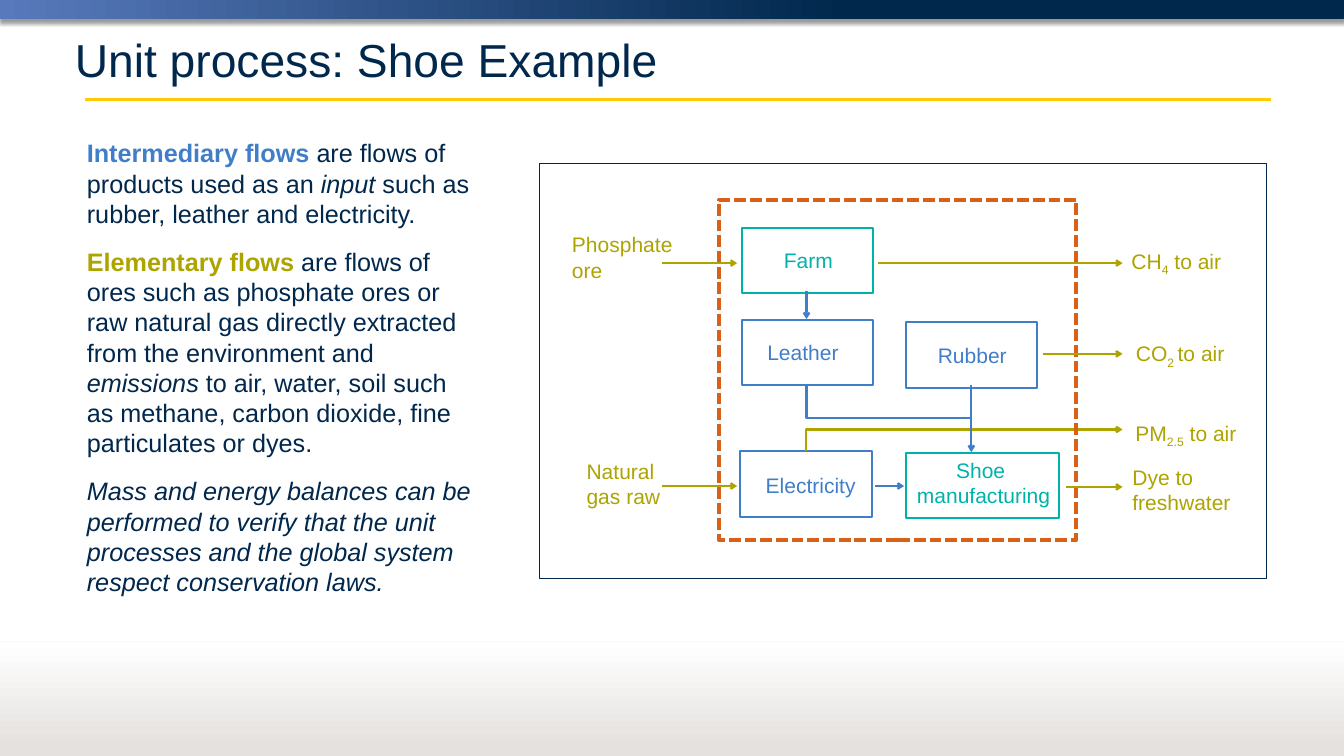
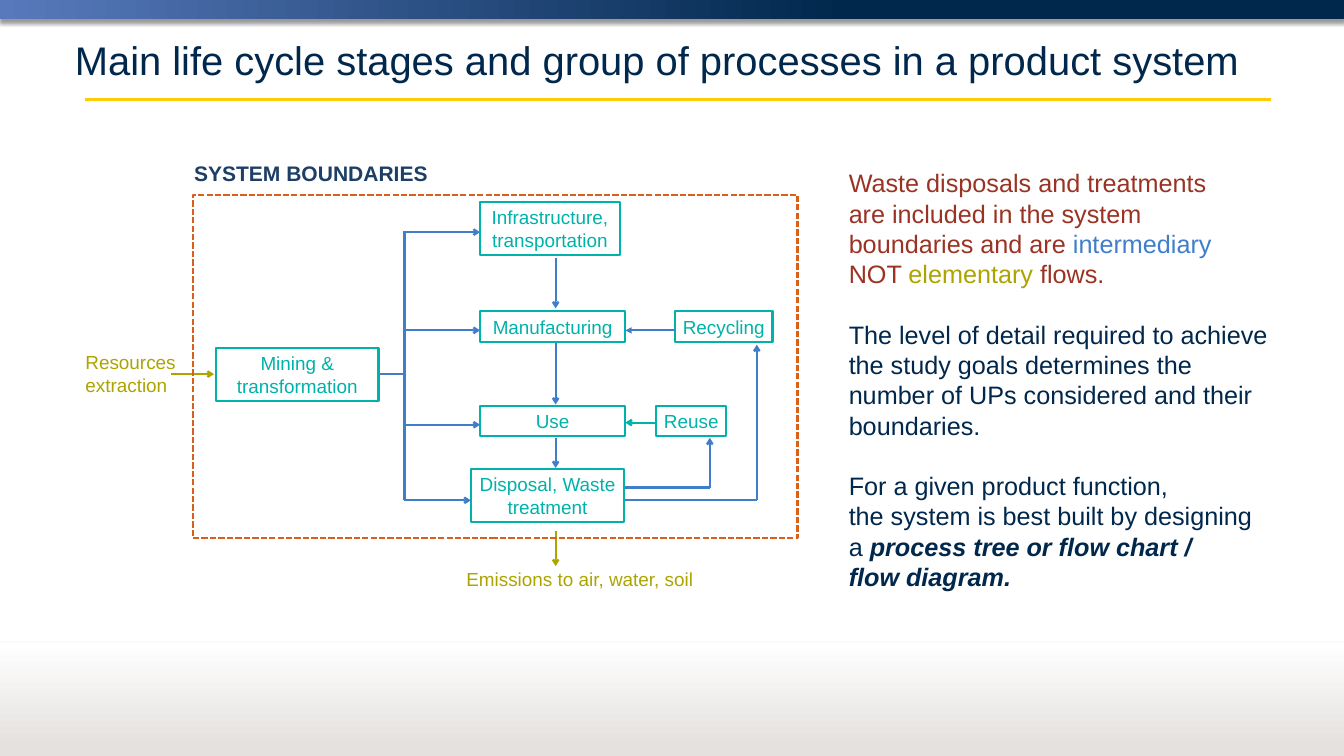
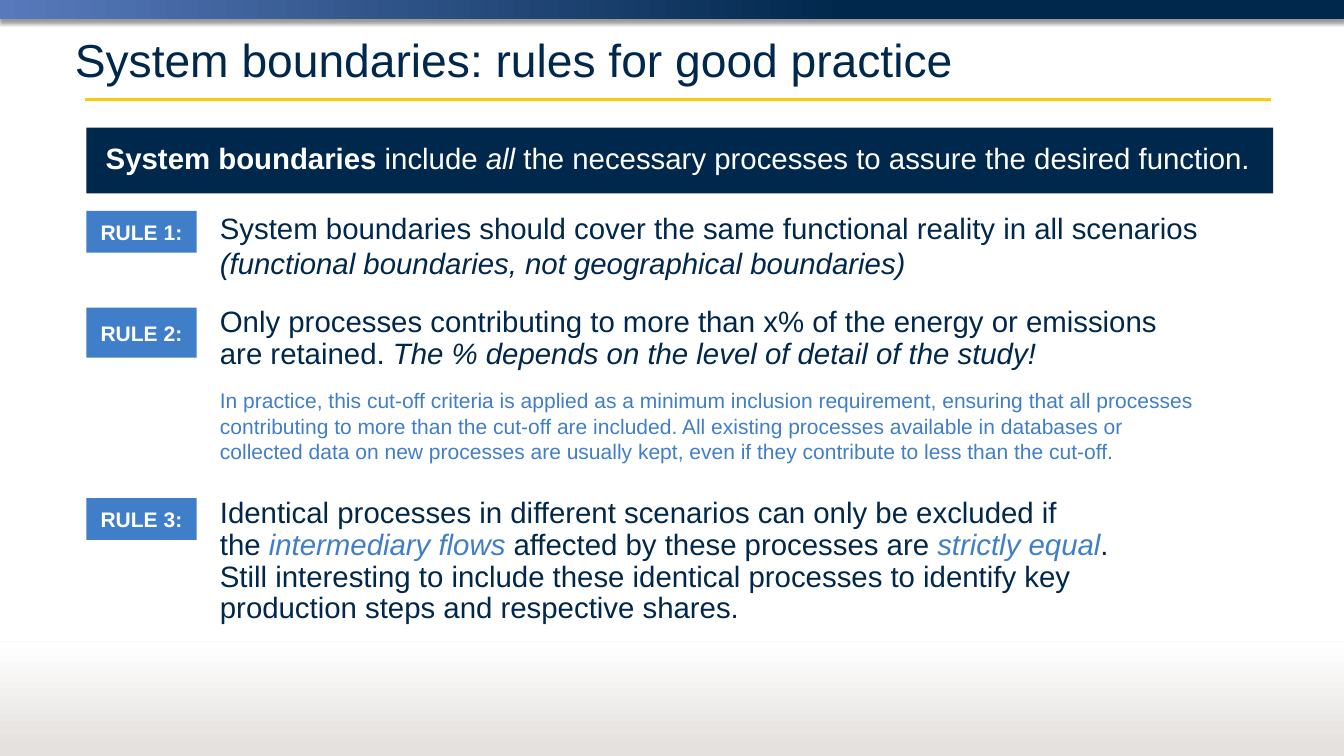
from dataclasses import dataclass

import lxml.etree
import pptx
import pptx.dml.color
import pptx.enum.dml
import pptx.enum.shapes
import pptx.enum.text
import pptx.oxml.ns
import pptx.util

Cm, Pt = pptx.util.Cm, pptx.util.Pt
qn = pptx.oxml.ns.qn
RECTANGLE = pptx.enum.shapes.MSO_SHAPE.RECTANGLE
CONNECTOR = pptx.enum.shapes.MSO_CONNECTOR
MIDDLE = pptx.enum.text.MSO_ANCHOR.MIDDLE
LEFT, CENTER = pptx.enum.text.PP_ALIGN.LEFT, pptx.enum.text.PP_ALIGN.CENTER


class Theme:
    font = "Arial"
    colours = {
        "navy": "00274C", "blue": "407EC9", "olive": "ADA400", "teal": "00B2A9",
        "orange": "D86018", "red": "9A3324", "heading": "1D3F67", "white": "FFFFFF",
        "yellow": "FFCB05", "sky": "587ABC", "stone": "E4E1DF", "black": "000000",
    }
    title, long_title, rule, body, label, stage = 44, 38, 28, 24, 20, 18
    flow_line = 2


@dataclass
class Para:
    spans: list
    size: int = Theme.body
    after: float = 0
    spacing: float = None
    align: int = LEFT


WIDTH, HEIGHT = 45.16, 25.4
TITLE_AT = (2.26, 0.79, 40.64, 2.41)

FLOW_TITLE = "Unit process: Shoe Example"
FLOW_TEXT_AT = (2.67, 4.5, 13.59, 15.6)
FLOW_TEXT = [
    Para([("Intermediary flows ", "blue b"), ("are flows of products used as an ", "navy"),
          ("input", "navy i"), (" such as rubber, leather and electricity.", "navy")], after=17),
    Para([("Elementary flows ", "olive b"),
          ("are flows of ores such as phosphate ores or raw natural gas directly extracted "
           "from the environment and ", "navy"),
          ("emissions", "navy i"),
          (" to air, water, soil such as methane, carbon dioxide, fine particulates or dyes.",
           "navy")], after=17),
    Para([("Mass and energy balances can be performed to verify that the unit processes and "
           "the global system respect conservation laws.", "navy i")]),
]
UNIT_BOXES = [
    ((24.92, 10.74, 4.42, 2.21), "blue"),
    ((30.43, 10.82, 4.42, 2.21), "blue"),
    ((30.43, 15.21, 5.16, 2.21), "teal"),
    ((24.92, 7.65, 4.42, 2.21), "teal"),
    ((24.87, 15.16, 4.42, 2.21), "blue"),
]
UNIT_LABELS = [
    ("Shoe \nmanufacturing", (30.51, 15.24, 5.08, 1.96), "teal"),
    ("Farm", (25.98, 8.2, 2.36, 1.12), "teal"),
    ("Leather ", (24.87, 11.28, 4.42, 1.14), "blue"),
    ("Rubber", (31.12, 11.38, 3.1, 1.12), "blue"),
    ("Electricity", (25.35, 15.75, 3.78, 1.12), "blue"),
]
ELEMENTARY_LABELS = [
    ([("Dye to \nfreshwater", "olive")], (37.8, 15.47, 4.06, 1.96)),
    ([("Phosphate \nore", "olive")], (18.97, 7.67, 4.52, 1.96)),
    ([("Natural \ngas raw", "olive")], (19.46, 15.27, 3.02, 1.96)),
    ([("CH", "olive"), ("4", "olive sub"), (" to air", "olive")], (37.77, 8.23, 3.86, 1.12)),
    ([("CO", "olive"), ("2 ", "olive sub"), ("to air", "olive")], (37.92, 11.33, 3.86, 1.12)),
    ([("PM", "olive"), ("2.5", "olive sub"), (" to air", "olive")], (37.9, 14, 4.42, 1.12)),
]
UNIT_FLOWS = [
    ((27.1, 9.78, 27.1, 10.72), "blue", "arrow"),
    ((32.64, 12.95, 32.64, 15.16), "blue", None),
    ((29.39, 16.33, 30.38, 16.33), "blue", "arrow"),
    ((22.25, 16.33, 24.77, 16.33), "olive", "arrow"),
    ((22.25, 8.84, 24.77, 8.84), "olive", "arrow"),
    ((29.51, 8.84, 37.72, 8.84), "olive", "arrow"),
    ((35.05, 11.89, 37.72, 11.89), "olive", "arrow"),
    ((35.81, 16.36, 37.72, 16.36), "olive", "arrow"),
]
UNIT_ELBOWS = [
    ((27.1, 12.9, 32.64, 15.19), "blue", "bentConnector3"),
    ((27.08, 15.16, 37.72, 14.43), "olive", "bentConnector2"),
]
UNIT_BOUNDARY = (24.16, 6.71, 12.01, 11.43)
DIAGRAM_FRAME = (18.11, 5.49, 24.43, 13.94)

STAGES_TITLE = "Main life cycle stages and group of processes in a product system"
STAGES = [
    ("Mining & transformation", (7.26, 11.68, 5.46, 1.78), "white"),
    ("Infrastructure,\ntransportation", (16.13, 6.78, 4.7, 1.78), None),
    ("Manufacturing", (16.13, 10.46, 4.88, 1.02), None),
    ("Use", (16.13, 13.64, 4.88, 1.02), None),
    ("Disposal, Waste treatment", (15.82, 15.75, 5.16, 1.78), None),
    ("Recycling", (22.68, 10.46, 3.28, 1.02), None),
    ("Reuse", (22.05, 13.64, 2.36, 1.02), None),
]
TRUNK_X, CHAIN_X = 13.59, 18.67
BRANCHES = [(7.8, 16.13), (11.1, 16.13), (14.27, 16.13), (16.81, 15.82)]
CHAIN = [(8.66, 10.36, "blue"), (11.53, 13.59, "blue"), (14.71, 15.72, "blue"),
         (17.83, 19.02, "olive")]
STAGE_FLOWS = [
    ((TRUNK_X, 7.77, TRUNK_X, 16.81), "blue", None),
    ((5.74, 12.57, 7.19, 12.57), "olive", "arrow"),
    ((21.01, 16.81, 25.43, 16.81), "blue", None),
    ((25.43, 16.81, 25.43, 11.58), "blue", "arrow"),
    ((22.68, 11.1, 21.01, 11.1), "blue", "triangle"),
    ((21.01, 16.38, 23.85, 16.38), "blue", None),
    ((23.85, 16.41, 23.85, 14.71), "blue", "arrow"),
    ((22, 14.2, 21.01, 14.2), "teal", "arrow"),
]
STAGE_LABELS = [
    (["Resources", "extraction"], (2.62, 11.66, 3.58, 1.8), "olive", Theme.stage),
    (["Emissions to air, water, soil"], (15.42, 18.95, 8.2, 1.02), "olive", Theme.stage),
    (["SYSTEM BOUNDARIES"], (6.27, 5.28, 8.43, 1.12), "heading b", Theme.label),
]
STAGE_BOUNDARY = (6.48, 6.55, 20.32, 11.53)
STAGE_TEXT_AT = (28.27, 5.51, 14.73, 14.63)
STAGE_TEXT = [
    Para([("Waste disposals and treatments \nare included in the system boundaries and are ",
           "red"), ("intermediary \n", "blue"), ("NOT ", "red"), ("elementary", "olive"),
          (" flows.", "red")], after=29),
    Para([("The level of detail required to achieve the study goals determines the number of "
           "UPs considered and their boundaries.", "navy")], after=29),
    Para([("For a given product function, \nthe system is best built by designing a ", "navy"),
          ("process tree or flow chart / \nflow diagram.", "navy b i")]),
]

RULES_TITLE = "System boundaries: rules for good practice"
BANNER_AT, BANNER_TEXT_AT = (2.9, 4.29, 39.88, 2.21), (2.64, 4.72, 40.26, 1.35)
BANNER = [
    Para([("System boundaries ", "white b"), ("include ", "white"), ("all ", "white i"),
          ("the necessary processes to assure the desired function.", "white")],
         Theme.rule, spacing=0.9, align=CENTER),
]
TAG_X, TAG_WIDTH, RULE_X = 2.9, 3.71, 7.14
RULES = [
    ("RULE 1:", (7.09, 1.4), (6.93, 34.42, 2.64), [
        Para([("System boundaries should cover the same functional reality in all scenarios ",
               "navy"), ("(functional boundaries, not geographical boundaries)", "navy i")],
             Theme.rule)]),
    ("RULE 2:", (10.34, 1.68), (10.21, 33.4, 5.59), [
        Para([("Only processes contributing to more than x% of the energy or emissions are "
               "retained. ", "navy"),
              ("The % depends on the level of detail of the study!", "navy i")],
             Theme.rule, 16, 0.9),
        Para([("In practice, this cut-off criteria is applied as a minimum inclusion "
               "requirement, ensuring that all processes contributing to more than the cut-off "
               "are included. All existing processes available in databases or collected data "
               "on new processes are usually kept, even if they contribute to less than the "
               "cut-off.", "blue")], Theme.label)]),
    ("RULE 3:", (16.74, 1.4), (16.61, 33.4, 4.57), [
        Para([("Identical processes in different scenarios can only be excluded if \nthe ",
               "navy"), ("intermediary flows", "blue i"),
              (" affected by these processes are ", "navy"), ("strictly equal", "blue i"),
              (". \nStill interesting to include these identical processes to identify key "
               "production steps and respective shares.", "navy")], Theme.rule, spacing=0.9)]),
]


def rgb(name):
    return pptx.dml.color.RGBColor.from_string(Theme.colours[name])


def style_run(run, size, style):
    colour, *marks = style.split()
    run.font.name, run.font.size = Theme.font, Pt(size)
    run.font.color.rgb = rgb(colour)
    run.font.bold, run.font.italic = "b" in marks, "i" in marks
    if "sub" in marks:
        run._r.get_or_add_rPr().set("baseline", "-25000")


def write(frame, paras, wrap=True):
    frame.word_wrap = wrap
    for index, content in enumerate(paras):
        para = frame.add_paragraph() if index else frame.paragraphs[0]
        para.alignment = content.align
        para.space_before, para.space_after = Pt(0), Pt(content.after)
        if content.spacing:
            para.line_spacing = content.spacing
        for text, style in content.spans:
            for number, line in enumerate(text.split("\n")):
                if number:
                    para.add_line_break()
                if line:
                    run = para.add_run()
                    run.text = line
                    style_run(run, content.size, style)


def add_text(page, at, paras):
    box = page.shapes.add_textbox(*map(Cm, at))
    write(box.text_frame, paras)


def add_box(page, at, fill=None, line=None, width=Theme.flow_line, dashed=False):
    box = page.shapes.add_shape(RECTANGLE, *map(Cm, at))
    box.shadow.inherit = False
    if fill:
        box.fill.solid()
        box.fill.fore_color.rgb = rgb(fill)
    else:
        box.fill.background()
    if line:
        box.line.color.rgb, box.line.width = rgb(line), Pt(width)
        if dashed:
            box.line.dash_style = pptx.enum.dml.MSO_LINE.SQUARE_DOT
    else:
        box.line.fill.background()
    return box


def add_line(page, points, colour, head=None, width=Theme.flow_line, kind=CONNECTOR.STRAIGHT):
    line = page.shapes.add_connector(kind, *map(Cm, points))
    line.line.color.rgb, line.line.width = rgb(colour), Pt(width)
    if head:
        lxml.etree.SubElement(line.line._get_or_add_ln(), qn("a:tailEnd"), type=head)
    lxml.etree.SubElement(line.element.spPr, qn("a:effectLst"))
    return line


def add_elbow(page, points, colour, preset):
    x1, y1, x2, y2 = points
    middle_x, middle_y = (x1 + x2) / 2, (y1 + y2) / 2
    half_x, half_y = (x2 - x1) / 2, (y2 - y1) / 2
    turned = (middle_x + half_y, middle_y - half_x, middle_x - half_y, middle_y + half_x)
    elbow = add_line(page, turned, colour, "arrow", kind=CONNECTOR.ELBOW)
    elbow.element.spPr.find(qn("a:xfrm")).set("rot", str(270 * 60000))
    elbow.element.spPr.find(qn("a:prstGeom")).set("prst", preset)


def add_band(page, at, angle, stops):
    band = add_box(page, at)
    band.fill.gradient()
    band.fill.gradient_angle = angle
    for stop, (position, colour) in zip(band.fill.gradient_stops, stops):
        stop.position, stop.color.rgb = position, rgb(colour)
    return band


def add_alpha(colour, percent):
    lxml.etree.SubElement(colour, qn("a:alpha"), val=str(percent * 1000))


def cast_shadow(shape, alpha, blur, distance):
    effects = shape.element.spPr.find(qn("a:effectLst"))
    shadow = lxml.etree.SubElement(
        effects, qn("a:outerShdw"), blurRad=str(Pt(blur)), dist=str(Pt(distance)),
        dir=str(90 * 60000), algn="t", rotWithShape="0")
    add_alpha(lxml.etree.SubElement(shadow, qn("a:srgbClr"), val=Theme.colours["black"]), alpha)


def furnish_layout(page):
    top = add_band(page, (0, 0, WIDTH, 0.64), 0, [(0, "sky"), (0.63, "navy")])
    cast_shadow(top, 40, 4, 3)
    underline = add_line(page, (2.84, 3.35, 42.7, 3.35), "yellow", width=3)
    bottom = add_band(page, (0, 21.59, WIDTH, 3.81), 90, [(0.08, "stone"), (1, "white")])
    edge = add_line(page, (0, 21.56, WIDTH, 21.56), "stone", width=0.75)
    add_alpha(edge.element.spPr.find(".//" + qn("a:srgbClr")), 30)
    cast_shadow(edge, 38, 3.1, 1.6)
    for number, shape in enumerate((top, underline, bottom, edge), 101):
        shape.element.xpath(".//p:cNvPr")[0].set("id", str(number))
        page.slide_layout.shapes.element.append(shape.element)


def add_page(deck, title, size=Theme.title):
    page = deck.slides.add_slide(deck.slide_layouts[5])
    box = page.shapes.title
    box.left, box.top, box.width, box.height = map(Cm, TITLE_AT)
    frame = box.text_frame
    frame.auto_size = pptx.enum.text.MSO_AUTO_SIZE.NONE
    frame.vertical_anchor = MIDDLE
    write(frame, [Para([(title, "navy")], size)])
    return page


def build_flows(page):
    add_text(page, FLOW_TEXT_AT, FLOW_TEXT)
    for at, colour in UNIT_BOXES:
        add_box(page, at, line=colour)
    for text, at, colour in UNIT_LABELS:
        add_text(page, at, [Para([(text, colour)], Theme.label, align=CENTER)])
    for spans, at in ELEMENTARY_LABELS:
        add_text(page, at, [Para(spans, Theme.label)])
    for elbow in UNIT_ELBOWS:
        add_elbow(page, *elbow)
    add_box(page, UNIT_BOUNDARY, line="orange", width=3.75, dashed=True)
    for flow in UNIT_FLOWS:
        add_line(page, *flow)
    add_box(page, DIAGRAM_FRAME, line="navy", width=0.75)


def build_stages(page):
    add_line(page, (11.1, 12.57, TRUNK_X, 12.57), "blue")
    for text, at, fill in STAGES:
        box = add_box(page, at, fill, "teal")
        two_lines = at[3] > 1.5
        write(box.text_frame, [Para([(text, "teal")], Theme.stage, align=CENTER)], two_lines)
    for y, end_x in BRANCHES:
        add_line(page, (TRUNK_X, y, end_x, y), "blue", "arrow")
    for start_y, end_y, colour in CHAIN:
        add_line(page, (CHAIN_X, start_y, CHAIN_X, end_y), colour, "arrow")
    for flow in STAGE_FLOWS:
        add_line(page, *flow)
    for lines, at, style, size in STAGE_LABELS:
        add_text(page, at, [Para([(line, style)], size) for line in lines])
    add_box(page, STAGE_BOUNDARY, line="orange", dashed=True)
    add_text(page, STAGE_TEXT_AT, STAGE_TEXT)


def build_rules(page):
    add_box(page, BANNER_AT, "navy")
    add_text(page, BANNER_TEXT_AT, BANNER)
    for name, (tag_y, tag_height), (y, width, height), paras in RULES:
        tag = add_box(page, (TAG_X, tag_y, TAG_WIDTH, tag_height), "blue")
        tag.text_frame.vertical_anchor = MIDDLE
        write(tag.text_frame, [Para([(name, "white b")], Theme.label, align=CENTER)])
        add_text(page, (RULE_X, y, width, height), paras)


def main():
    deck = pptx.Presentation()
    deck.slide_width, deck.slide_height = Cm(WIDTH), Cm(HEIGHT)
    flows = add_page(deck, FLOW_TITLE)
    furnish_layout(flows)
    build_flows(flows)
    build_stages(add_page(deck, STAGES_TITLE, Theme.long_title))
    build_rules(add_page(deck, RULES_TITLE))
    deck.save("out.pptx")


if __name__ == "__main__":
    main()
